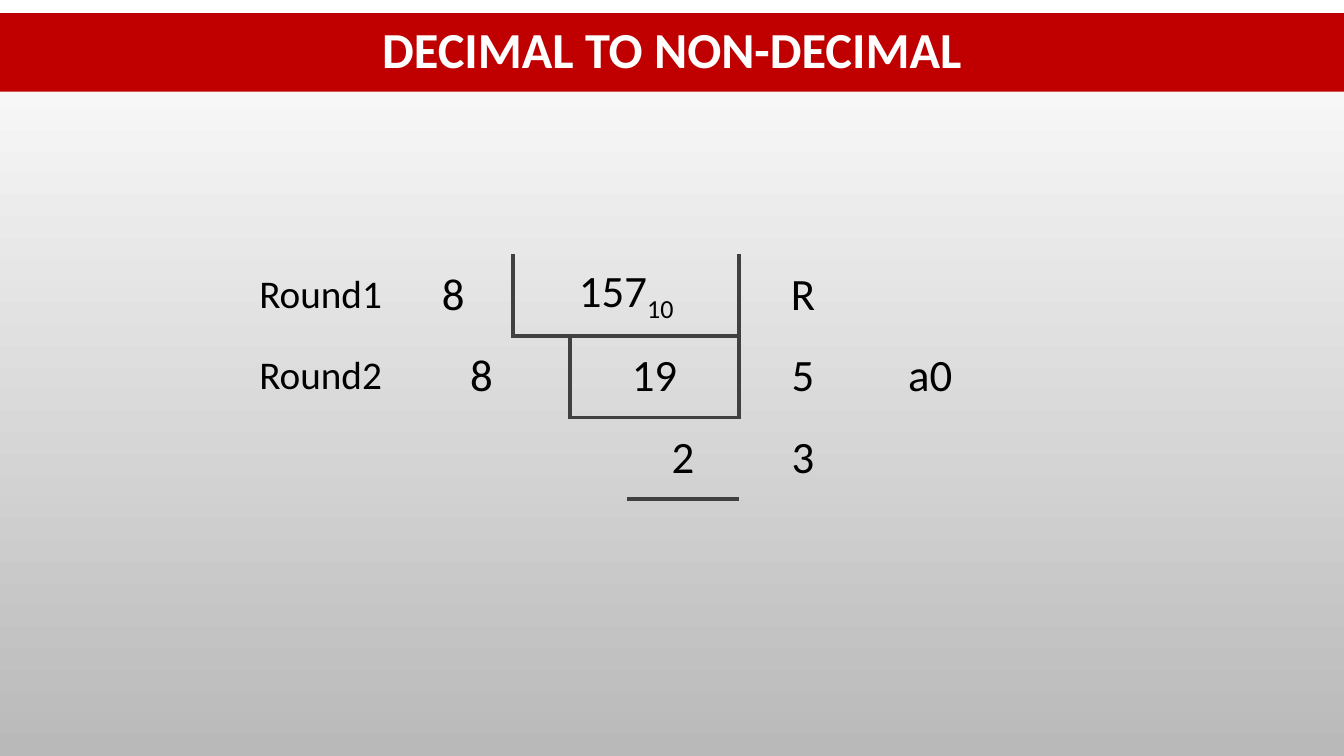
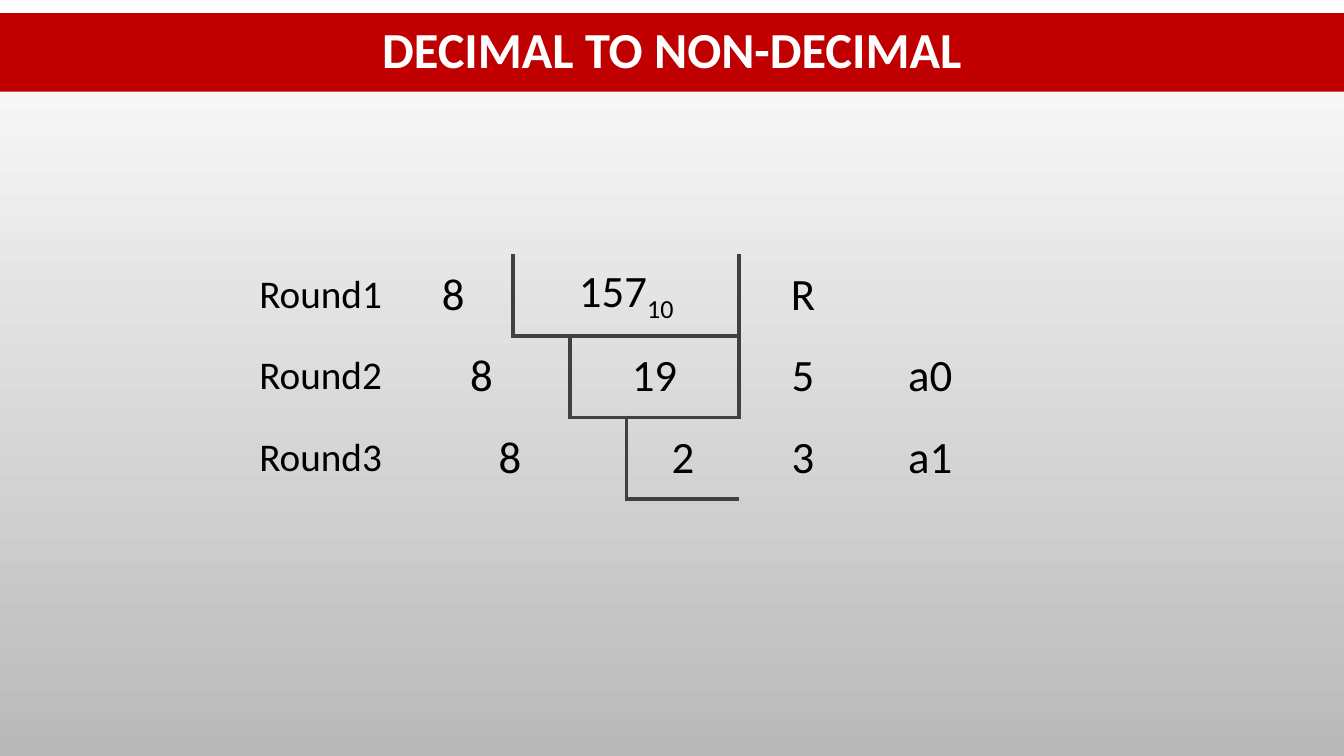
"""Build two slides that divide a decimal number by eight, round by round."""
from lxml.etree import SubElement
from pptx import Presentation
from pptx.dml.color import RGBColor
from pptx.enum.shapes import MSO_SHAPE
from pptx.enum.text import MSO_ANCHOR, PP_ALIGN
from pptx.oxml.ns import qn
from pptx.util import Cm, Pt

TITLE = "DECIMAL TO NON-DECIMAL"
ROUNDS = [
    ("Round1", "8", "157", "R", ""),
    ("Round2", "8", "19", "5", "a0"),
    ("Round3", "8", "2", "3", "a1"),
]
SLIDES = [ROUNDS[:2] + [("", "", "2", "3", "")], ROUNDS]
SUBS = {"157": "10"}

FONT = "Calibri"
RED = RGBColor(0xC0, 0x00, 0x00)
WHITE = RGBColor(0xFF, 0xFF, 0xFF)
SILVER = RGBColor(0xB9, 0xB9, 0xB9)
BLACK = RGBColor(0x00, 0x00, 0x00)
GRAY = RGBColor(0x40, 0x40, 0x40)

WIDE, HIGH = Cm(33.87), Cm(19.05)
LEFT, TOP = Cm(6.25), Cm(6.4)
COLS = [Cm(w) for w in (3.66, 3.02, 1.43, 1.43, 2.84, 3.21, 3.21)]
ROW, COUNT = Cm(2.06), 4
LAST = 4
PLAIN = "{2D5ABB26-0587-4C30-8999-92F81FD0307C}"


def style(para, size, color, bold=False):
    para.alignment = PP_ALIGN.CENTER
    font = para.font
    font.name, font.size, font.bold = FONT, Pt(size), bold
    font.color.rgb = color


def paint(master):
    fill = master.background.fill
    fill.gradient()
    fill.gradient_angle = 270
    for stop, color in zip(fill.gradient_stops, (WHITE, SILVER)):
        stop.color.rgb = color


def add_band(slide):
    band = slide.shapes.add_shape(MSO_SHAPE.RECTANGLE, 0, Cm(0.33), WIDE, Cm(1.98))
    band.shadow.inherit = False
    band.fill.solid()
    band.fill.fore_color.rgb = RED
    band.line.fill.background()
    frame = band.text_frame
    frame.vertical_anchor = MSO_ANCHOR.MIDDLE
    para = frame.paragraphs[0]
    para.text = TITLE
    para.line_spacing = 0.9
    style(para, 36, WHITE, True)


def add_edges(cell, sides):
    props = cell._tc.get_or_add_tcPr()
    for spot, side in enumerate(s for s in "LRTB" if s in sides):
        line = SubElement(props, qn(f"a:ln{side}"), w=str(Pt(3)))
        fill = SubElement(line, qn("a:solidFill"))
        SubElement(fill, qn("a:srgbClr"), val=str(GRAY))
        props.insert(spot, line)


def write(cell, text, size=32):
    cell.vertical_anchor = MSO_ANCHOR.MIDDLE
    para = cell.text_frame.paragraphs[0]
    para.add_run().text = text
    if text in SUBS:
        sub = para.add_run()
        sub.text = SUBS[text]
        sub._r.get_or_add_rPr().set("baseline", "-25000")
    style(para, size, BLACK)


def add_block(table, row, first, last, text="", sides=""):
    cells = [table.cell(row, col) for col in range(first, last + 1)]
    if len(cells) > 1:
        cells[0].merge(cells[-1])
    if text:
        write(cells[0], text)
    add_edges(cells[0], sides)
    for cell in cells[1:]:
        add_edges(cell, set(sides) & set("TB"))


def add_steps(slide, rounds):
    frame = slide.shapes.add_table(COUNT, len(COLS), LEFT, TOP, sum(COLS), ROW * COUNT)
    table = frame.table
    table.first_row = table.horz_banding = False
    table._tbl.tblPr.find(qn("a:tableStyleId")).text = PLAIN
    for col, width in zip(table.columns, COLS):
        col.width = width
    for row in table.rows:
        row.height = ROW
    for cell in table.iter_cells():
        cell.fill.background()
    for row, (label, base, value, rest, digit) in enumerate(rounds):
        add_block(table, row, 1, row + 1, base, "R" if base else "")
        sides = ("LB" if base else "") + ("T" if row else "")
        add_block(table, row, row + 2, LAST, value, sides)
        for col, text, size in ((0, label, 28), (5, rest, 32), (6, digit, 32)):
            if text:
                write(table.cell(row, col), text, size)
    add_block(table, COUNT - 1, 2, LAST)


def main():
    deck = Presentation()
    deck.slide_width, deck.slide_height = WIDE, HIGH
    paint(deck.slide_master)
    for rounds in SLIDES:
        slide = deck.slides.add_slide(deck.slide_layouts[6])
        add_band(slide)
        add_steps(slide, rounds)
    deck.save("out.pptx")


if __name__ == "__main__":
    main()
